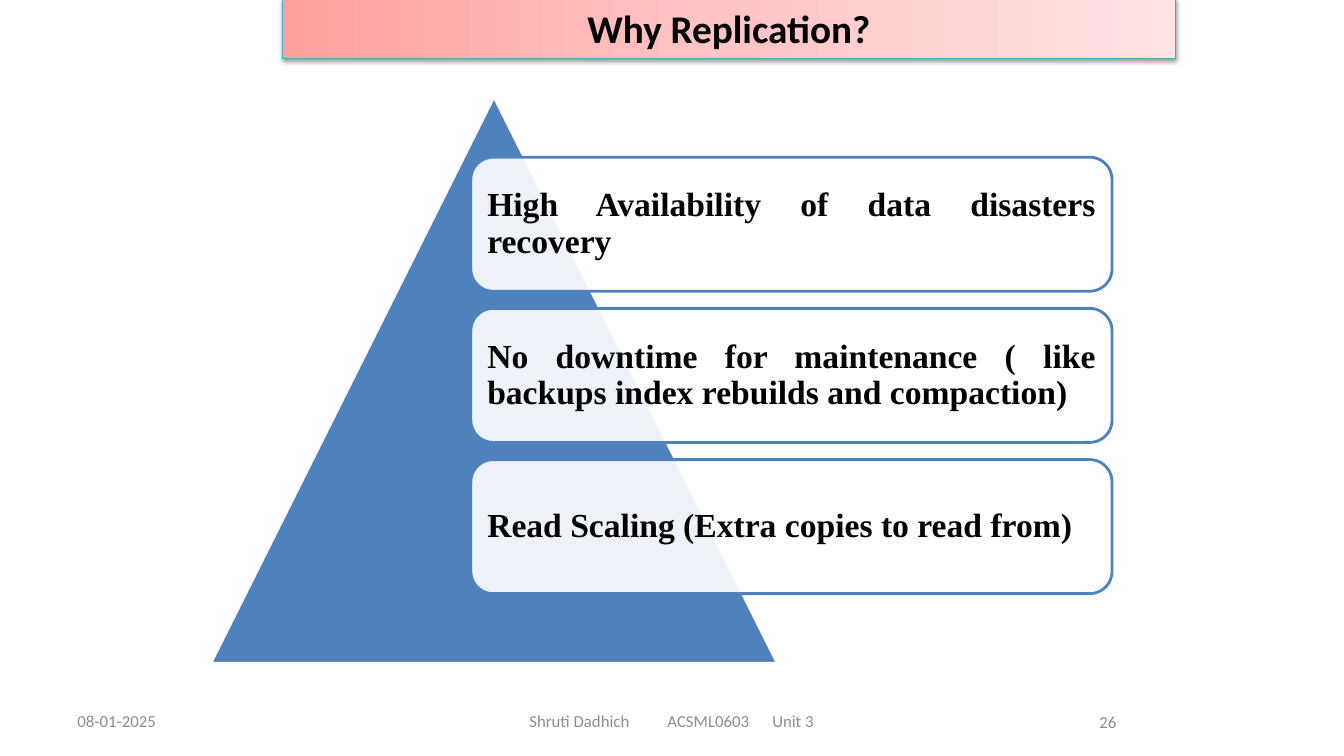
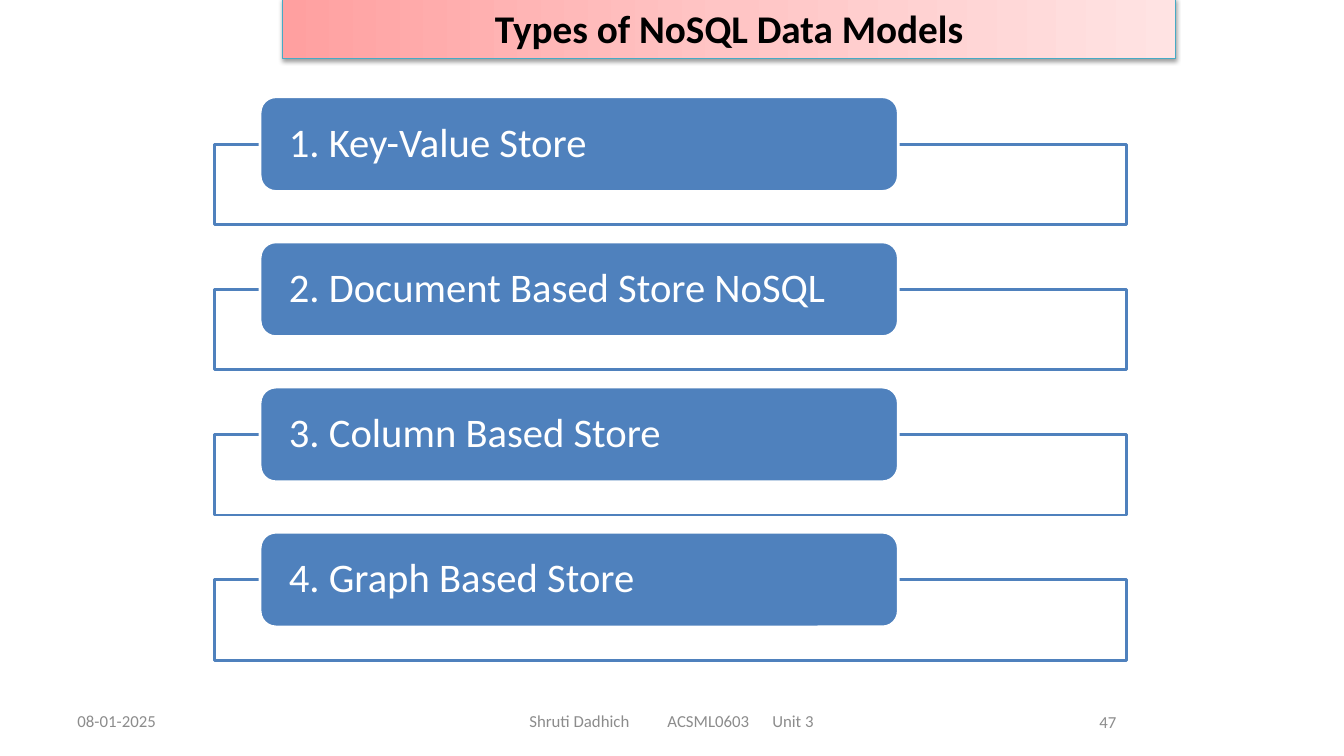
from copy import deepcopy
from dataclasses import dataclass

from lxml import etree
from pptx import Presentation
from pptx.dml.color import RGBColor
from pptx.enum.shapes import MSO_SHAPE
from pptx.enum.text import MSO_ANCHOR, PP_ALIGN
from pptx.oxml.ns import qn
from pptx.util import Inches, Pt

RECTANGLE = MSO_SHAPE.RECTANGLE
ROUNDED = MSO_SHAPE.ROUNDED_RECTANGLE
TRIANGLE = MSO_SHAPE.ISOSCELES_TRIANGLE
MIDDLE = MSO_ANCHOR.MIDDLE
LEFT, CENTER, RIGHT, JUSTIFY = (
    PP_ALIGN.LEFT, PP_ALIGN.CENTER, PP_ALIGN.RIGHT, PP_ALIGN.JUSTIFY)

BLACK = RGBColor(0x00, 0x00, 0x00)
WHITE = RGBColor(0xFF, 0xFF, 0xFF)
BLUE = RGBColor(0x4F, 0x81, 0xBD)
TEAL = RGBColor(0x46, 0xAA, 0xC5)
GREY = RGBColor(0x8C, 0x8C, 0x8C)
BAND_COLORS = (RGBColor(0xFF, 0xA0, 0xA0), RGBColor(0xFF, 0xC5, 0xC5),
               RGBColor(0xFF, 0xE3, 0xE3))

SANS = "Calibri"
SERIF = "Times New Roman"

REASONS = (
    "High Availability of data disasters recovery",
    "No downtime for maintenance ( like backups index rebuilds and compaction)",
    "Read Scaling (Extra copies to read from)",
)
STORES = (
    "1. Key-Value Store",
    "2. Document Based Store NoSQL",
    "3. Column Based Store",
    "4. Graph Based Store",
)


@dataclass(frozen=True)
class Area:
    left: float
    top: float
    width: float
    height: float

    def lengths(self):
        return [Inches(side) for side in
                (self.left, self.top, self.width, self.height)]

    def lowered(self, distance: float) -> "Area":
        return Area(self.left, self.top + distance, self.width, self.height)


@dataclass(frozen=True)
class FooterPart:
    text: str
    area: Area
    align: PP_ALIGN = LEFT
    indent: float = 0.1
    tabs: tuple[float, ...] = ()


TITLE_BAND = Area(2.8, -0.02, 8.86, 0.6)
PYRAMID = Area(2.09, 0.96, 5.62, 5.62)
REASON_CARD = Area(4.67, 1.56, 6.36, 1.33)
REASON_PITCH = 1.5
STORE_FRAME = Area(2.13, 1.43, 9.04, 0.8)
STORE_LABEL = Area(2.58, 0.96, 6.33, 0.94)
STORE_PITCH = 1.44
NUMBER_AREA = Area(8.84, 6.96, 2.33, 0.4)
FOOTER = (
    FooterPart("08-01-2025", Area(0.67, 6.95, 3.11, 0.4)),
    FooterPart("Shruti Dadhich\tACSML0603\tUnit 3", Area(4.56, 6.95, 4.22, 0.4),
               indent=0.69, tabs=(1.37, 2.41)),
)


def write(box, text: str, *, size: float, color: RGBColor, font: str = SANS,
          bold: bool = False, align: PP_ALIGN = LEFT, spacing: float = 1.0,
          inset_x: float = 0.1, inset_y: float = 0.05,
          tabs: tuple[float, ...] = ()) -> None:
    frame = box.text_frame
    frame.word_wrap = True
    frame.vertical_anchor = MIDDLE
    frame.margin_left = frame.margin_right = Inches(inset_x)
    frame.margin_top = frame.margin_bottom = Inches(inset_y)
    para = frame.paragraphs[0]
    para.alignment = align
    para.line_spacing = spacing
    if tabs:
        tab_list = etree.SubElement(para._p.get_or_add_pPr(), qn("a:tabLst"))
        for position in tabs:
            etree.SubElement(tab_list, qn("a:tab"),
                             pos=str(Inches(position)), algn="l")
    span = para.add_run()
    span.text = text
    span.font.name = font
    span.font.size = Pt(size)
    span.font.bold = bold
    span.font.color.rgb = color


def add_figure(page, kind: MSO_SHAPE, area: Area, *, line: RGBColor,
               fill: RGBColor, line_width: float = 2, opacity: int = 100):
    figure = page.shapes.add_shape(kind, *area.lengths())
    figure.shadow.inherit = False
    figure.fill.solid()
    figure.fill.fore_color.rgb = fill
    if opacity < 100:
        color = figure.element.spPr.find(qn("a:solidFill"))[0]
        etree.SubElement(color, qn("a:alpha"), val=str(opacity * 1000))
    figure.line.color.rgb = line
    figure.line.width = Pt(line_width)
    return figure


def apply_band_gradient(band) -> None:
    band.fill.gradient()
    band.fill.gradient_angle = 0
    stops = band.element.spPr.find(qn("a:gradFill")).find(qn("a:gsLst"))
    stops.insert(1, deepcopy(stops[0]))
    for index, (stop, color) in enumerate(
            zip(band.fill.gradient_stops, BAND_COLORS)):
        stop.color.rgb = color
        stop.position = index / (len(BAND_COLORS) - 1)


def apply_soft_shadow(figure) -> None:
    effects = figure.element.spPr.find(qn("a:effectLst"))
    shadow = etree.SubElement(
        effects, qn("a:outerShdw"), blurRad=str(Pt(3.1)), dist=str(Pt(1.6)),
        dir="5400000", rotWithShape="0")
    color = etree.SubElement(shadow, qn("a:srgbClr"), val=str(BLACK))
    etree.SubElement(color, qn("a:alpha"), val="38000")


def add_page(deck, title: str, number: int):
    """Add a blank page with the shared title band and footer."""
    page = deck.slides.add_slide(deck.slide_layouts[6])
    band = add_figure(page, RECTANGLE, TITLE_BAND, fill=BAND_COLORS[0],
                      line=TEAL, line_width=0.75)
    apply_band_gradient(band)
    apply_soft_shadow(band)
    write(band, title, size=28, color=BLACK, bold=True, align=CENTER)
    for part in (*FOOTER, FooterPart(str(number), NUMBER_AREA, RIGHT)):
        box = page.shapes.add_textbox(*part.area.lengths())
        write(box, part.text, size=12, color=GREY, align=part.align,
              inset_x=part.indent, tabs=part.tabs)
    return page


def add_replication_page(deck) -> None:
    page = add_page(deck, "Why Replication?", 26)
    add_figure(page, TRIANGLE, PYRAMID, fill=BLUE, line=WHITE)
    for index, reason in enumerate(REASONS):
        card = add_figure(page, ROUNDED, REASON_CARD.lowered(index * REASON_PITCH),
                          fill=WHITE, line=BLUE, opacity=90)
        write(card, reason, size=24, color=BLACK, font=SERIF, bold=True,
              align=JUSTIFY, spacing=0.9, inset_y=0.1)


def add_data_models_page(deck) -> None:
    page = add_page(deck, "Types of NoSQL Data Models", 47)
    for index, store in enumerate(STORES):
        distance = index * STORE_PITCH
        add_figure(page, RECTANGLE, STORE_FRAME.lowered(distance),
                   fill=WHITE, line=BLUE, opacity=90)
        label = add_figure(page, ROUNDED, STORE_LABEL.lowered(distance),
                           fill=BLUE, line=WHITE)
        write(label, store, size=29, color=WHITE, spacing=0.9,
              inset_x=0.24, inset_y=0)


def main() -> None:
    deck = Presentation()
    deck.slide_width = Inches(13.33)
    deck.slide_height = Inches(7.5)
    add_replication_page(deck)
    add_data_models_page(deck)
    deck.save("out.pptx")


if __name__ == "__main__":
    main()
